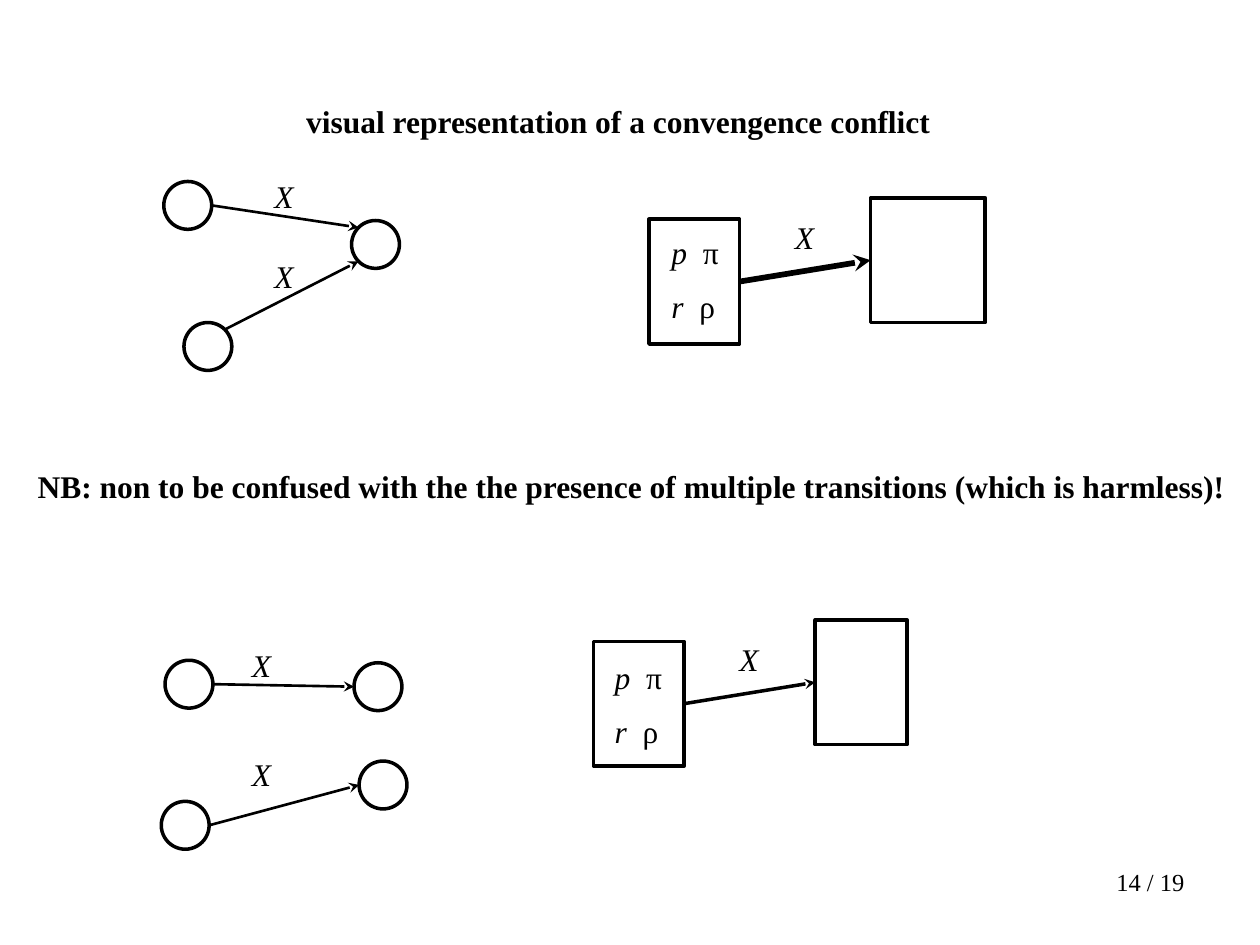
from math import cos, radians, sin

from lxml import etree
from pptx import Presentation
from pptx import util as u
from pptx.dml.color import RGBColor
from pptx.enum import shapes, text
from pptx.oxml.ns import qn

BLACK = RGBColor(0, 0, 0)
FONT = "Times New Roman"
DIAMETER = 0.38
BOX_HEIGHT = 0.99
LABEL_HEIGHT = 0.4
RIGHT, LOWER_LEFT, LEFT, UPPER_LEFT, UPPER_RIGHT = 0, 135, 180, 225, 315

TITLE = ("visual representation of a convengence conflict", (2.33, 0.76, 5.21))
NOTE = ("NB: non to be confused with the the presence of multiple transitions "
        "(which is harmless)!", (0.2, 3.66, 9.64))
PAGE_NUMBER = ("14 / 19", (7.17, 6.83, 2.33))

# State name: left, top
STATES = {
    "conflict first": (1.3, 1.44),
    "conflict second": (1.46, 2.56),
    "conflict target": (2.79, 1.75),
    "harmless first": (1.31, 5.24),
    "harmless second": (1.28, 6.36),
    "harmless first target": (2.81, 5.26),
    "harmless second target": (2.85, 6.04),
}
# Start state, angle on it, end state, angle on it, left and top of the X
TRANSITIONS = [
    ("conflict first", RIGHT, "conflict target", UPPER_LEFT, (2.08, 1.36)),
    ("conflict second", UPPER_RIGHT, "conflict target", LOWER_LEFT, (2.08, 1.99)),
    ("harmless first", RIGHT, "harmless first target", LEFT, (1.9, 5.08)),
    ("harmless second", RIGHT, "harmless second target", LEFT, (1.9, 5.94)),
]
ITEMS = [("p", "π", 0.59), ("r", "ρ", 0.56)]
ITEM_STEP = 0.43
# Left and top of the item set, width of its target, arrow weight, first item
ITEM_SETS = [
    ((5.15, 1.74), 0.91, 3.25, (5.23, 1.8)),
    ((4.71, 5.09), 0.73, 2, (4.78, 5.17)),
]
SOURCE_WIDTH = 0.72
TARGET_OFFSET = (1.76, -0.17)
X_OFFSET = (1.06, -0.06)


def apply(target, values):
    for name, value in values.items():
        setattr(target, name, value)


def place(shape, left, top, width, height):
    apply(shape, {"left": u.Inches(left), "top": u.Inches(top),
                  "width": u.Inches(width), "height": u.Inches(height)})


def write(shape, spans, size=18, bold=False, align=text.PP_ALIGN.LEFT, wrap=False):
    """Fill a box with one paragraph of (wording, italic) spans."""
    frame = shape.text_frame
    apply(frame, {"word_wrap": wrap, "vertical_anchor": text.MSO_ANCHOR.TOP,
                  "auto_size": text.MSO_AUTO_SIZE.NONE})
    para = frame.paragraphs[0]
    para.alignment = align
    for wording, italic in spans:
        span = para.add_run()
        span.text = wording
        apply(span.font, {"name": FONT, "size": u.Pt(size), "bold": bold,
                          "italic": italic})
        span.font.color.rgb = BLACK


def add_text(page, spans, left, top, width, height=LABEL_HEIGHT, **style):
    box = page.shapes.add_textbox(0, 0, 0, 0)
    place(box, left, top, width, height)
    write(box, spans, **style)


def add_x(page, left, top):
    add_text(page, [("X", True)], left, top, 0.36)


def add_outline(page, kind, left, top, width, height):
    shape = page.shapes.add_shape(kind, 0, 0, 0, 0)
    place(shape, left, top, width, height)
    shape.shadow.inherit = False
    shape.fill.background()
    shape.line.color.rgb = BLACK
    shape.line.width = u.Pt(2)
    return shape


def add_arrow(page, weight, start=(0, 0), end=(0, 0)):
    arrow = page.shapes.add_connector(
        shapes.MSO_CONNECTOR.STRAIGHT, *(u.Inches(v) for v in (*start, *end)))
    arrow.line.color.rgb = BLACK
    arrow.line.width = u.Pt(weight)
    etree.SubElement(arrow.line._get_or_add_ln(), qn("a:tailEnd"),
                     type="stealth", w="med", len="med")
    etree.SubElement(arrow._element.spPr, qn("a:effectLst"))
    return arrow


def rim(state, angle):
    """Point on a state's circle, with the angle running clockwise from the right."""
    radius = DIAMETER / 2
    left, top = STATES[state]
    return (left + radius + radius * cos(radians(angle)),
            top + radius + radius * sin(radians(angle)))


def draw_automata(page):
    for left, top in STATES.values():
        add_outline(page, shapes.MSO_SHAPE.OVAL, left, top, DIAMETER, DIAMETER)
    for start, start_angle, end, end_angle, label in TRANSITIONS:
        add_arrow(page, 1.5, rim(start, start_angle), rim(end, end_angle))
        add_x(page, *label)


def draw_item_sets(page):
    for (left, top), target_width, weight, (item_left, item_top) in ITEM_SETS:
        source = add_outline(page, shapes.MSO_SHAPE.RECTANGLE, left, top,
                             SOURCE_WIDTH, BOX_HEIGHT)
        target = add_outline(page, shapes.MSO_SHAPE.RECTANGLE,
                             left + TARGET_OFFSET[0], top + TARGET_OFFSET[1],
                             target_width, BOX_HEIGHT)
        arrow = add_arrow(page, weight)
        arrow.begin_connect(source, 3)
        arrow.end_connect(target, 1)
        add_x(page, left + X_OFFSET[0], top + X_OFFSET[1])
        for row, (state, lookahead, width) in enumerate(ITEMS):
            add_text(page, [(state + "  ", True), (lookahead, False)],
                     item_left, item_top + row * ITEM_STEP, width)


def main():
    deck = Presentation()
    deck.slide_width, deck.slide_height = u.Inches(10), u.Inches(7.5)
    page = deck.slides.add_slide(deck.slide_layouts[5])

    wording, spot = TITLE
    place(page.shapes.title, *spot, LABEL_HEIGHT)
    write(page.shapes.title, [(wording, False)], bold=True)
    draw_automata(page)
    draw_item_sets(page)
    wording, spot = NOTE
    add_text(page, [(wording, False)], *spot, bold=True)
    wording, spot = PAGE_NUMBER
    add_text(page, [(wording, False)], *spot, 0.52, size=14,
             align=text.PP_ALIGN.RIGHT, wrap=True)
    deck.save("out.pptx")


if __name__ == "__main__":
    main()
